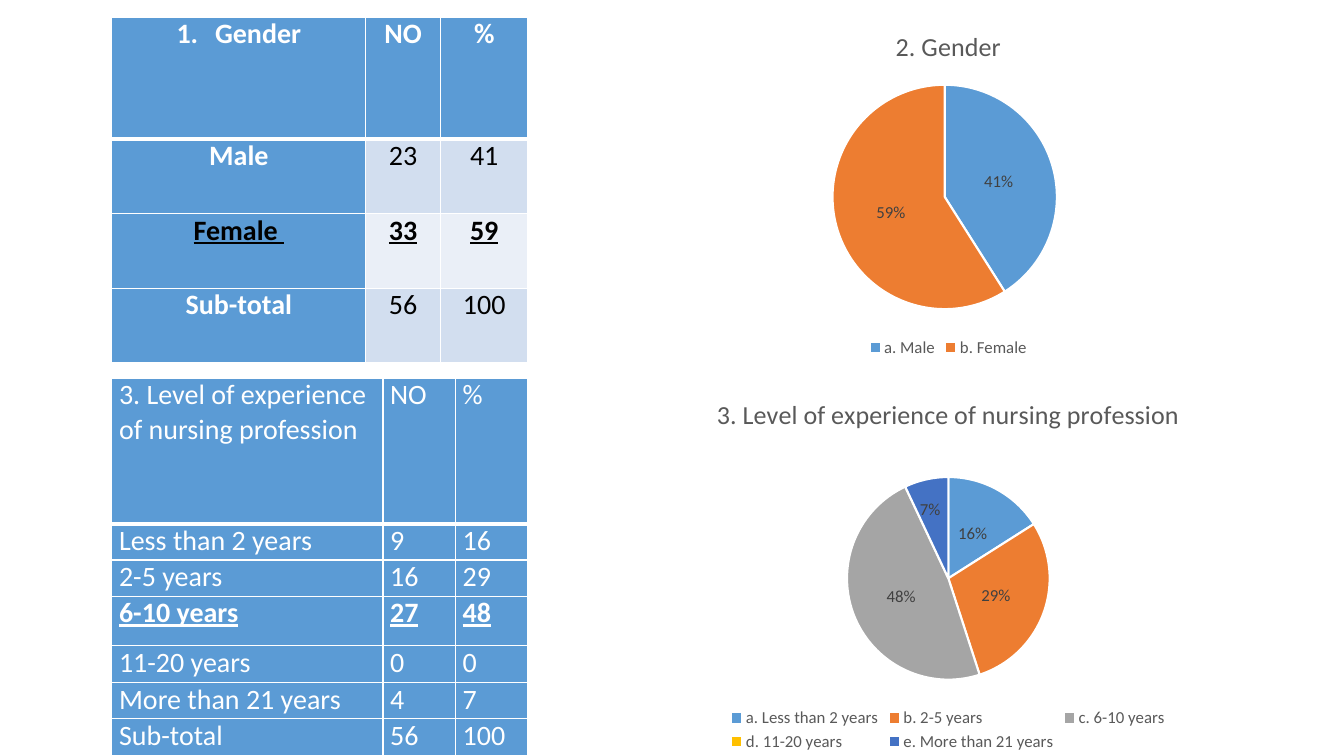
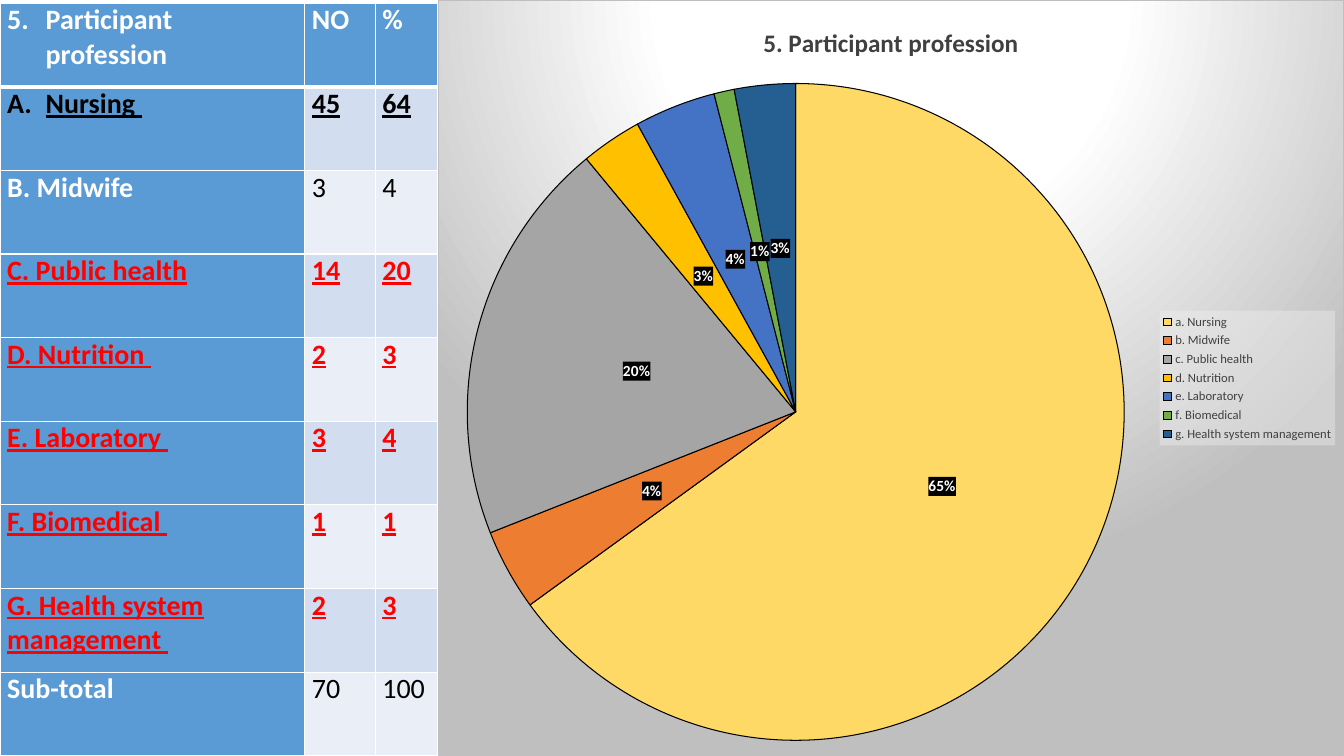
import copy

import lxml.etree
import pptx
import pptx.chart.data
import pptx.dml.color
import pptx.enum.chart
import pptx.enum.text
import pptx.oxml
import pptx.oxml.ns
import pptx.util

Cm = pptx.util.Cm
Pt = pptx.util.Pt
qn = pptx.oxml.ns.qn

FONT = "Calibri"
C = {
    "white": "FFFFFF", "black": "000000", "red": "FF0000",
    "blue": "5B9BD5", "band": "D2DEEF", "pale": "EAEFF7",
    "orange": "ED7D31", "gray": "A5A5A5", "gold": "FFC000",
    "indigo": "4472C4", "green": "70AD47", "navy": "255E91",
    "yellow": "FFD966", "text": "595959", "dark": "404040",
    "silver": "BFBFBF", "mist": "F2F2F2",
}
SLICES = ["blue", "orange", "gray", "gold", "indigo", "green", "navy"]
NS = " ".join(f'xmlns:{p}="{pptx.oxml.ns.nsuri(p)}"' for p in ("a", "c"))

ROW_STYLES = {
    "head": dict(colors=("white", "white"), bold=(True, True)),
    "plain": dict(colors=("white", "black"), bold=(True, False)),
    "key": dict(colors=("black", "black"), bold=(True, True), underline=True),
    "alert": dict(colors=("red", "red"), bold=(True, True), underline=True),
    "light": dict(colors=("white", "white"), bold=(False, False)),
    "light key": dict(colors=("white", "white"), bold=(True, True), underline=True),
}
LIGHT_CHART = dict(
    title=(18.6, "text", False), legend=("BOTTOM", 12, "text"),
    labels=(12, "dark", False), outline=("white", 1.5), slices=SLICES,
)
SHADED_CHART = dict(
    title=(18, "dark", True), legend=("RIGHT", 9, "dark"),
    labels=(11, "white", True), outline=("black", 0.75),
    slices=["yellow"] + SLICES[1:],
)


def rgb(name):
    return pptx.dml.color.RGBColor.from_string(C[name])


def xml(text):
    tag, rest = text.split(">", 1) if not text.split(">", 1)[0].endswith("/") else (text[:-2], None)
    return pptx.oxml.parse_xml(f"{tag} {NS}/>" if rest is None else f"{tag} {NS}>{rest}")


def solid(name, alpha=100):
    return f'<a:solidFill><a:srgbClr val="{C[name]}"><a:alpha val="{alpha * 1000}"/></a:srgbClr></a:solidFill>'


def set_font(font, size, color, bold=False, underline=None):
    font.name = FONT
    font.size = Pt(size)
    font.bold = bold
    font.underline = underline
    font.color.rgb = rgb(color)


def add_borders(cell, heavy_side):
    tcPr = cell._tc.get_or_add_tcPr()
    for side in "LRTB":
        width = Pt(3 if side == heavy_side else 1)
        tcPr.append(xml(f'<a:ln{side} w="{width}">{solid("white")}</a:ln{side}>'))


def add_number(p, kind, start):
    pPr = p._p.get_or_add_pPr()
    pPr.set("marL", str(Cm(0.97)))
    pPr.set("indent", str(-Cm(0.97)))
    pPr.append(xml(f'<a:buFont typeface="+mj-lt"/>'))
    pPr.append(xml(f'<a:buAutoNum type="{kind}" startAt="{start}"/>'))


def fill_cell(cell, text, fill, style, col, align, heavy_side, number):
    add_borders(cell, heavy_side)
    cell.fill.solid()
    cell.fill.fore_color.rgb = rgb(fill)
    cell.margin_left = cell.margin_right = Cm(0.18)
    cell.margin_top = cell.margin_bottom = 0
    p = cell.text_frame.paragraphs[0]
    if number:
        add_number(p, *number)
    p.alignment = align
    r = p.add_run()
    r.text = text
    part = min(col, 1)
    set_font(r.font, 20, style["colors"][part], style["bold"][part], style.get("underline"))


def add_count_table(s, box, cols, heights, rows, bands=("band", "pale"), centred=False, numbers={}):
    left, top, width, height = box
    frame = s.shapes.add_table(len(rows), 3, Cm(left), Cm(top), Cm(width), Cm(height))
    table = frame.table
    table.first_row = table.horz_banding = False
    for column, share in zip(table.columns, cols):
        column.width = Cm(width * share / sum(cols))
    align = pptx.enum.text.PP_ALIGN.CENTER if centred else pptx.enum.text.PP_ALIGN.LEFT
    for i, (style, *texts) in enumerate(rows):
        table.rows[i].height = Cm(height * heights[i] / sum(heights))
        heavy_side = {0: "B", 1: "T"}.get(i)
        for col, text in enumerate(texts):
            fill = "blue" if i == 0 or col == 0 else bands[(i - 1) % 2]
            number = numbers.get(i) if col == 0 else None
            fill_cell(table.cell(i, col), text, fill, ROW_STYLES[style], col, align, heavy_side, number)


def place_plot(chart, area):
    plot_area = chart._chartSpace.chart.plotArea
    for old in plot_area.findall(qn("c:layout")):
        plot_area.remove(old)
    sizes = "".join(f'<c:{k} val="{v}"/>' for k, v in zip("xywh", area))
    plot_area.insert(0, xml(
        '<c:layout><c:manualLayout><c:layoutTarget val="inner"/><c:xMode val="edge"/>'
        f'<c:yMode val="edge"/>{sizes}</c:manualLayout></c:layout>'))


def hide_label(labels, idx):
    labels._element.insert(0, xml(f'<c:dLbl><c:idx val="{idx}"/><c:delete val="1"/></c:dLbl>'))


def shift_label(labels, idx, dx, dy):
    flags = "".join(
        f'<c:show{k} val="{int(k == "Percent")}"/>'
        for k in ("LegendKey", "Val", "CatName", "SerName", "Percent", "BubbleSize"))
    label = xml(
        f'<c:dLbl><c:idx val="{idx}"/><c:layout><c:manualLayout><c:x val="{dx}"/>'
        f'<c:y val="{dy}"/></c:manualLayout></c:layout><c:dLblPos val="ctr"/>{flags}</c:dLbl>')
    label.insert(2, copy.deepcopy(labels._element.find(qn("c:txPr"))))
    labels._element.insert(0, label)


def add_pie(s, box, title, names, values, area, look):
    data = pptx.chart.data.CategoryChartData()
    data.categories = [f"{letter}. {name}" for letter, name in zip("abcdefg", names)]
    data.add_series(title, values)
    kind = pptx.enum.chart.XL_CHART_TYPE.PIE
    chart = s.shapes.add_chart(kind, *map(Cm, box), data).chart
    set_font(chart.font, 10, "black")
    chart.has_title = True
    r = chart.chart_title.text_frame.paragraphs[0].add_run()
    r.text = title
    set_font(r.font, *look["title"])
    chart.has_legend = True
    side, size, color = look["legend"]
    chart.legend.position = getattr(pptx.enum.chart.XL_LEGEND_POSITION, side)
    chart.legend.include_in_layout = False
    set_font(chart.legend.font, size, color)
    plot = chart.plots[0]
    plot.vary_by_categories = True
    series = plot.series[0]
    line_color, line_width = look["outline"]
    for i, slice_color in enumerate(look["slices"][:len(values)]):
        fmt = series.points[i].format
        fmt.fill.solid()
        fmt.fill.fore_color.rgb = rgb(slice_color)
        fmt.line.color.rgb = rgb(line_color)
        fmt.line.width = Pt(line_width)
    labels = series.data_labels
    labels.show_percentage = True
    labels.show_value = False
    labels.position = pptx.enum.chart.XL_LABEL_POSITION.CENTER
    set_font(labels.font, *look["labels"])
    place_plot(chart, area)
    return chart


def shade_chart(chart):
    stops = "".join(
        f'<a:gs pos="{pos * 1000}"><a:srgbClr val="{C[name]}"/></a:gs>'
        for pos, name in ((0, "white"), (39, "white"), (100, "silver")))
    backdrop = (
        f'<c:spPr><a:gradFill><a:gsLst>{stops}</a:gsLst><a:path path="circle">'
        '<a:fillToRect l="50000" t="-80000" r="50000" b="180000"/></a:path></a:gradFill>'
        f'<a:ln w="{Pt(0.75)}">{solid("silver")}</a:ln></c:spPr>')
    labels = chart.plots[0].series[0].data_labels
    for owner, props in (
        (chart._chartSpace, backdrop),
        (chart.legend._element, f'<c:spPr>{solid("mist", 39)}</c:spPr>'),
        (labels._element, f'<c:spPr>{solid("black")}</c:spPr>'),
    ):
        owner.find(qn("c:txPr")).addprevious(xml(props))


def gender_band(s, left, top):
    rows = [
        ("head", "Gender", "NO", "%"),
        ("plain", "Male", "23", "41"),
        ("key", "Female ", "33", "59"),
        ("plain", "Sub-total", "56", "100"),
    ]
    add_count_table(s, (left, top + 0.15, 10.49, 8.71), (2.52, 0.74, 0.87), (1.21, 0.74, 0.74, 0.74),
                    rows, centred=True, numbers={0: ("arabicPeriod", 1)})
    add_pie(s, (left + 11.96, top, 18.24, 8.84), "2. Gender", ["Male", "Female"], [41, 59],
            (0.34, 0.21, 0.31, 0.64), LIGHT_CHART)


def experience_band(s, left, top):
    rows = [
        ("light", "3. Level of experience of nursing profession", "NO", "%"),
        ("light", "Less than 2 years", "9", "16"),
        ("light", "2-5 years", "16", "29"),
        ("light key", "6-10 years", "27", "48"),
        ("light", "11-20 years", "0", "0"),
        ("light", "More than 21 years", "4", "7"),
        ("light", "Sub-total", "56", "100"),
    ]
    add_count_table(s, (left, top, 10.49, 9.52), (2.69, 0.72, 0.72),
                    (1.45, 0.36, 0.36, 0.49, 0.37, 0.36, 0.37), rows, bands=("blue", "blue"))
    names = [row[1] for row in rows[1:-1]]
    chart = add_pie(s, (left + 11.96, top, 18.24, 9.52), rows[0][1], names, [16, 29, 48, 0, 7],
                    (0.36, 0.26, 0.28, 0.54), LIGHT_CHART)
    labels = chart.plots[0].series[0].data_labels
    shift_label(labels, 4, -0.01, -0.05)
    hide_label(labels, 3)


def profession_slide(s, width, height):
    rows = [
        ("head", "Participant profession", "NO", "%"),
        ("key", "Nursing ", "45", "64"),
        ("plain", "B. Midwife", "3", "4"),
        ("alert", "C. Public health", "14", "20"),
        ("alert", "D. Nutrition ", "2", "3"),
        ("alert", "E. Laboratory ", "3", "4"),
        ("alert", "F. Biomedical ", "1", "1"),
        ("alert", "G. Health system management ", "2", "3"),
        ("plain", "Sub-total", "70", "100"),
    ]
    split = 11.03
    add_count_table(s, (0, 0.08, split, height - 0.08), (3.03, 0.7, 0.62), [1] * len(rows), rows,
                    numbers={0: ("arabicPeriod", 5), 1: ("alphaUcPeriod", 1)})
    names = ["Nursing", "Midwife", "Public health", "Nutrition", "Laboratory", "Biomedical",
             "Health system management"]
    chart = add_pie(s, (split, 0, width - split, height), "5. Participant profession", names,
                    [65, 4, 20, 3, 4, 1, 3], (0.03, 0.11, 0.73, 0.87), SHADED_CHART)
    shade_chart(chart)


def main():
    width, height = 33.87, 19.05
    prs = pptx.Presentation()
    prs.slide_width, prs.slide_height = Cm(width), Cm(height)
    blank = prs.slide_layouts[6]
    s = prs.slides.add_slide(blank)
    gender_band(s, 2.82, 0.28)
    experience_band(s, 2.82, 9.53)
    profession_slide(prs.slides.add_slide(blank), width, height)
    prs.save("out.pptx")


if __name__ == "__main__":
    main()
